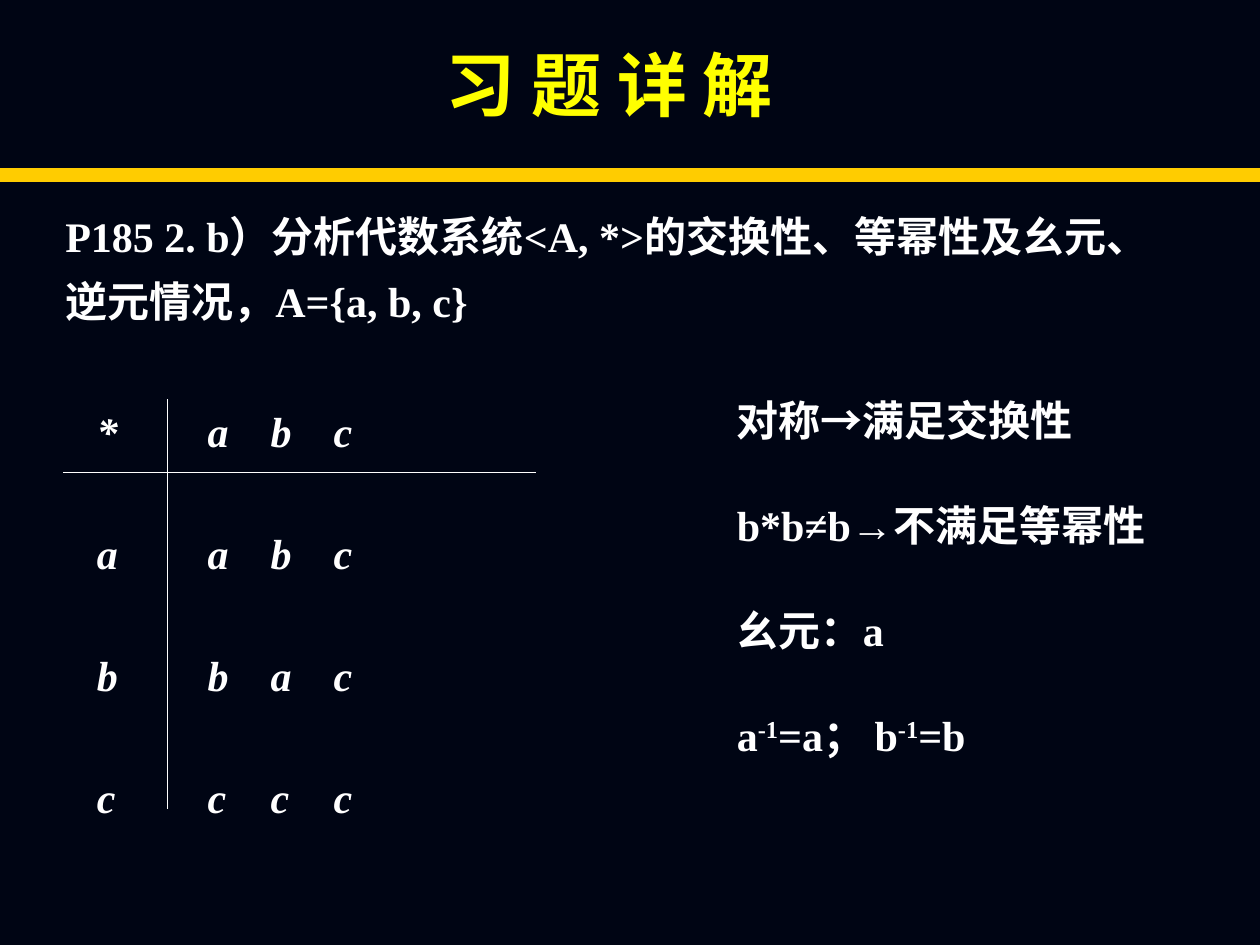
import pptx
import pptx.util
import pptx.dml.color
import pptx.enum.shapes
import pptx.enum.text
import lxml.etree

# Content
TITLE = "习 题 详 解"
TASK = "P185 2. b）分析代数系统<A, *>的交换性、等幂性及幺元、逆元情况，A={a, b, c}"
HEAD = ("*", "a", "b", "c")
ROWS = [HEAD, ("a", "a", "b", "c"), ("b", "b", "a", "c"), ("c", "c", "c", "c")]
# Each note: box width, then runs of (text, style)
NOTES = [
    (3.17, [("对称", ""), ("→", "arrow"), ("满足交换性", "")]),
    (3.75, [("b*b≠b", ""), ("→", "arrow"), ("不满足等幂性", "")]),
    (4, [("幺元：a", "")]),
    (3.5, [("a", ""), ("-1", "super"), ("=a； b", ""), ("-1", "super"), ("=b", "")]),
]

# Look
SERIF, SANS = "Times New Roman", "Arial"
NIGHT, WHITE, YELLOW, GOLD = "000514", "FFFFFF", "FFFF00", "FFCC00"
WIDE, HIGH = 10, 7.5
NOTE_LEFT, NOTE_TOP, NOTE_STEP, NOTE_HIGH = 5.75, 3.08, HIGH / 9, 0.5
HANG = 0.38

inch = pptx.util.Inches
deck = pptx.Presentation()
deck.slide_width, deck.slide_height = inch(WIDE), inch(HIGH)
slide = deck.slides.add_slide(deck.slide_layouts[5])


def tint(code):
    return pptx.dml.color.RGBColor.from_string(code)


def style(font, size, color, name=None, slant=None):
    font.size, font.bold = pptx.util.Pt(size), True
    font.color.rgb = tint(color)
    font.name, font.italic = name, slant


def place(shape, left, top, width, height):
    shape.left, shape.top = inch(left), inch(top)
    shape.width, shape.height = inch(width), inch(height)
    frame = shape.text_frame
    frame.word_wrap = True
    frame.vertical_anchor = pptx.enum.text.MSO_ANCHOR.TOP
    return frame


def box(left, top, width, height):
    return place(slide.shapes.add_textbox(0, 0, 0, 0), left, top, width, height)


def indent(para, tabs=False):
    """Hang the first line; add a tab stop at every inch if asked."""
    props = para._p.get_or_add_pPr()
    props.set("marL", str(inch(HANG)))
    props.set("indent", str(-inch(HANG)))
    if tabs:
        space = pptx.oxml.ns.qn
        stops = lxml.etree.SubElement(props, space("a:tabLst"))
        for mark in range(8):
            lxml.etree.SubElement(stops, space("a:tab"), pos=str(inch(mark)), algn="l")


def rule(start, end, color, weight):
    line = slide.shapes.add_connector(
        pptx.enum.shapes.MSO_CONNECTOR.STRAIGHT, *map(inch, start + end))
    line.line.color.rgb = tint(color)
    line.line.width = pptx.util.Pt(weight)
    lxml.etree.SubElement(line._element.spPr, pptx.oxml.ns.qn("a:effectLst"))


# Background, title and band
slide.background.fill.solid()
slide.background.fill.fore_color.rgb = tint(NIGHT)
frame = place(slide.shapes.title, 1.33, 0.28, 7.01, 0.77)
frame.text = TITLE
para = frame.paragraphs[0]
para.alignment = pptx.enum.text.PP_ALIGN.CENTER
style(para.font, 40, YELLOW, SANS)
rule((0, 1.39), (WIDE, 1.39), GOLD, 8)

# Task
frame = box(0.42, 1.5, 8.58, 1.14)
frame.text = TASK
para = frame.paragraphs[0]
para.line_spacing = 1.3
style(para.font, 24, WHITE, SERIF)

# Operation table, set with tabs
frame = box(0.67, 2.81, 4, 3.77)
for row, (key, *cells) in enumerate(ROWS):
    para = frame.add_paragraph() if row else frame.paragraphs[0]
    para.add_run().text = "\t".join([key, "", *cells])
    para.line_spacing = 1.9
    if row:
        para.space_before = pptx.util.Pt(15)
    indent(para, tabs=True)
    style(para.font, 24, WHITE, SERIF, slant=True)

# Notes on the right
for row, (width, runs) in enumerate(NOTES):
    frame = box(NOTE_LEFT, NOTE_TOP + row * NOTE_STEP, width, NOTE_HIGH)
    para = frame.paragraphs[0]
    indent(para)
    style(para.font, 24, WHITE, SERIF)
    for text, kind in runs:
        run = para.add_run()
        run.text = text
        if kind == "arrow":
            run.font.name = SANS
        elif kind == "super":
            run._r.get_or_add_rPr().set("baseline", "30000")

# Lines of the operation table
rule((0.5, 3.75), (4.25, 3.75), WHITE, 0.75)
rule((1.33, 3.17), (1.33, 6.42), WHITE, 0.75)

deck.save("out.pptx")
